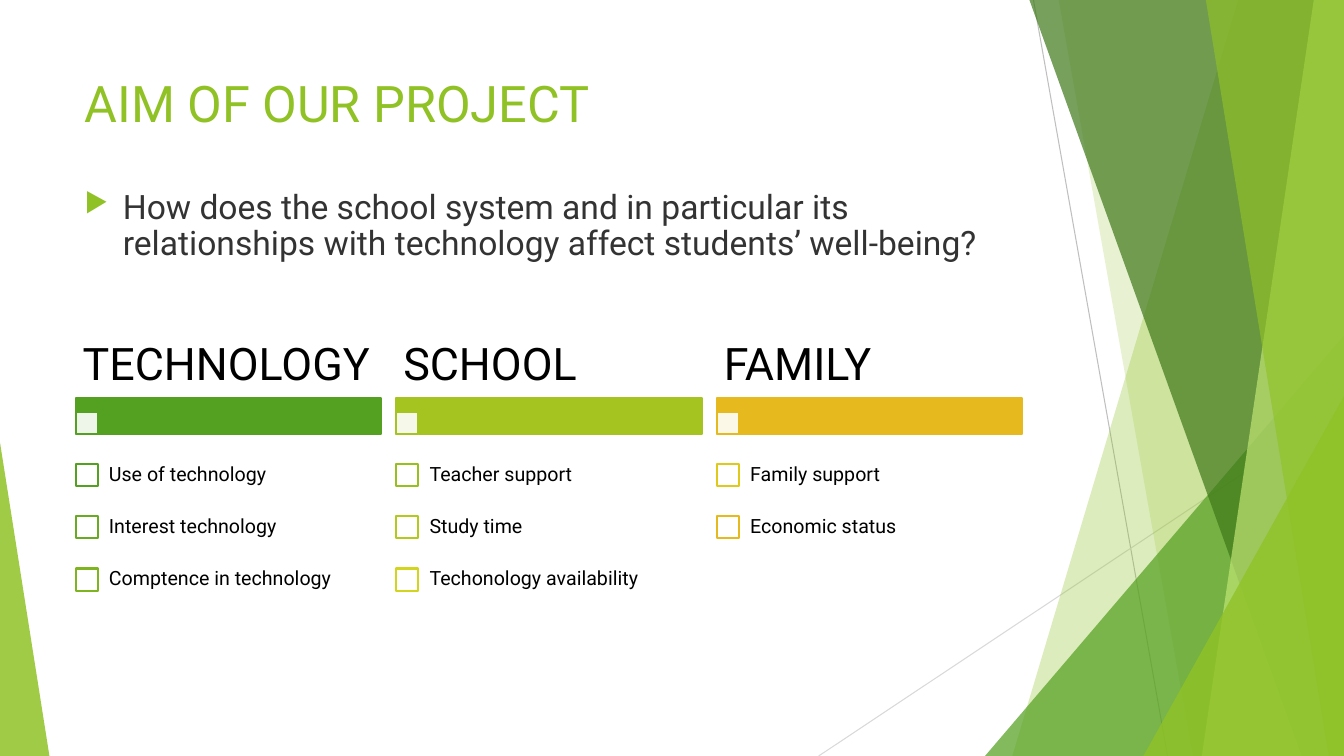
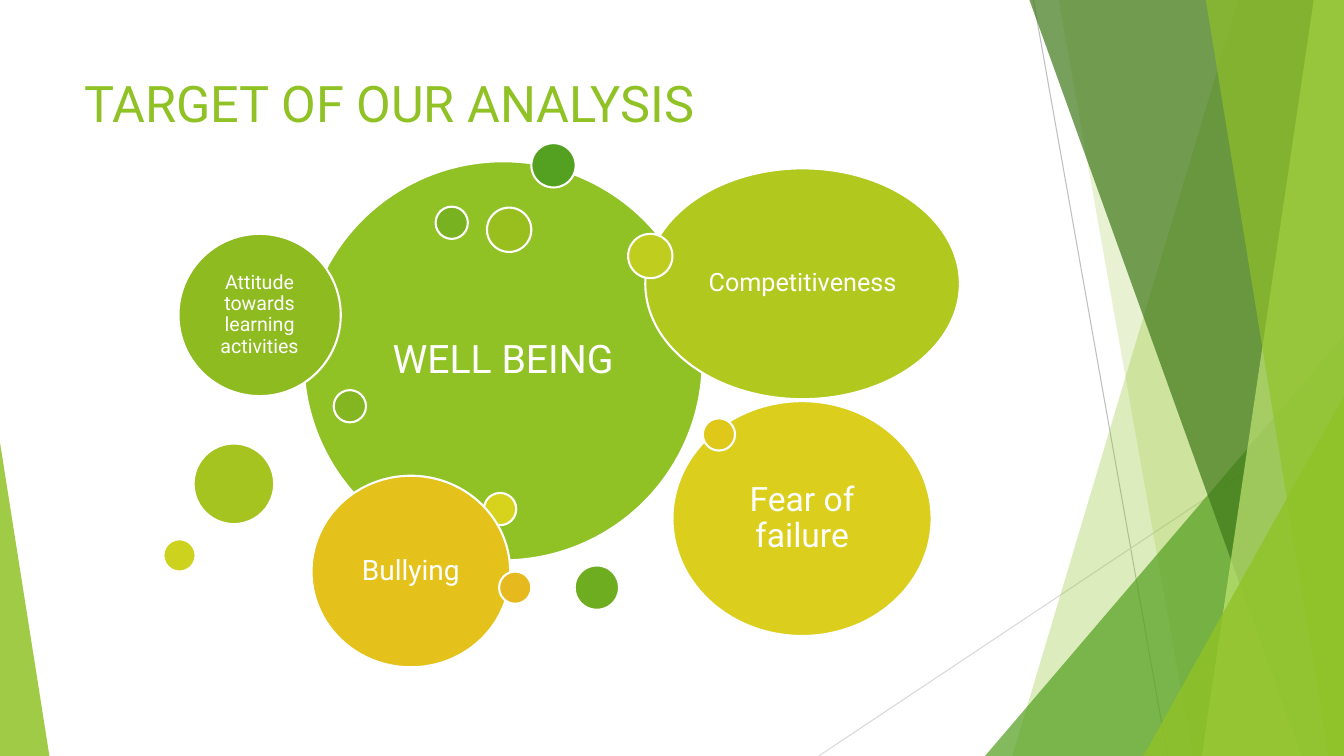
from dataclasses import dataclass
from lxml.etree import SubElement
from pptx import Presentation
from pptx.dml.color import RGBColor
from pptx.enum.shapes import MSO_CONNECTOR, MSO_SHAPE
from pptx.enum.text import MSO_ANCHOR, PP_ALIGN
from pptx.oxml.ns import qn
from pptx.util import Inches, Pt


@dataclass(frozen=True)
class Theme:
    font: str = "Roboto"
    # colours
    lime: str = "90C226"
    green: str = "54A021"
    forest: str = "3F7819"
    pale: str = "C0E474"
    moss: str = "A5C41F"
    gold: str = "E6B91E"
    white: str = "FFFFFF"
    black: str = "000000"
    ink: str = "333333"
    # type sizes and line widths
    title: int = 36
    head: int = 32
    body: int = 24
    item: int = 14
    edge: float = 1.5
    hair: float = 0.75


T = Theme()
WIDE, HIGH = 13.33, 7.5


# --- Basic parts ---
def apply(thing, values):
    for key, value in values.items():
        setattr(thing, key, value)


def rgb(code):
    return RGBColor.from_string(code)


def paint(shape, fill, line=None, alpha=100):
    shape.shadow.inherit = False
    shape.fill.solid()
    shape.fill.fore_color.rgb = rgb(fill)
    if alpha < 100:
        tone = shape.element.spPr.find(qn("a:solidFill"))[0]
        SubElement(tone, qn("a:alpha"), val=str(alpha * 1000))
    if line:
        shape.line.color.rgb = rgb(line)
        shape.line.width = Pt(T.edge)
    else:
        shape.line.fill.background()
    return shape


def block(slide, kind, box, fill, line=None, alpha=100):
    shape = slide.shapes.add_shape(kind, *map(Inches, box))
    return paint(shape, fill, line, alpha)


def write(shape, text, size, tone, pad=(0.1, 0.05), anchor=MSO_ANCHOR.MIDDLE,
          align=PP_ALIGN.LEFT, space=0.9):
    frame = shape.text_frame
    side, top = map(Inches, pad)
    apply(frame, dict(word_wrap=True, vertical_anchor=anchor,
                      margin_left=side, margin_right=side,
                      margin_top=top, margin_bottom=top))
    para = frame.paragraphs[0]
    apply(para, dict(text=text, alignment=align, line_spacing=space))
    apply(para.runs[0].font, dict(name=T.font, size=Pt(size)))
    para.runs[0].font.color.rgb = rgb(tone)
    return para


def label(slide, box, *text, **style):
    return write(slide.shapes.add_textbox(*map(Inches, box)), *text, **style)


# --- Shared backdrop and title ---
RAYS = [((10.25, 0), (11.58, HIGH), "BFBFBF"),
        ((WIDE, 4.03), (8.12, HIGH), "D9D9D9")]

# Bands run from a top x to a foot x and fill out to the right edge;
# wedges are right triangles given by box and apex side.
SHARDS = [("band", (12.28, 10.04), T.lime, 30),
          ("band", (10.5, 11.83), T.lime, 20),
          ("wedge", (9.77, 3.33, 3.56, 4.17, 1), T.green, 72),
          ("band", (10.21, 12.91), T.forest, 70),
          ("band", (13.03, 11.92), T.pale, 70),
          ("band", (11.96, 13.18), T.lime, 65),
          ("wedge", (11.34, 3.93, 1.99, 3.57, 1), T.lime, 80),
          ("wedge", (0, 4.39, 0.49, 3.11, 0), T.lime, 85)]


def ray(slide, start, end, tone):
    line = slide.shapes.add_connector(
        MSO_CONNECTOR.STRAIGHT, *map(Inches, start + end))
    line.line.color.rgb = rgb(tone)
    line.line.width = Pt(T.hair)
    SubElement(line.element.spPr, qn("a:effectLst"))


def band(slide, ends, tone, alpha):
    top, foot = map(Inches, ends)
    right, base = Inches(WIDE), Inches(HIGH)
    path = slide.shapes.build_freeform(top, 0)
    path.add_line_segments([(right, 0), (right, base), (foot, base)])
    paint(path.convert_to_shape(), tone, alpha=alpha)


def wedge(slide, place, tone, alpha):
    *box, apex = place
    shape = block(slide, MSO_SHAPE.ISOSCELES_TRIANGLE, box, tone, alpha=alpha)
    shape.adjustments[0] = apex


def begin(deck, title):
    slide = deck.slides.add_slide(deck.slide_layouts[6])
    for item in RAYS:
        ray(slide, *item)
    for kind, place, tone, alpha in SHARDS:
        draw = band if kind == "band" else wedge
        draw(slide, place, tone, alpha)
    label(slide, (0.74, 0.67, 9.4, 1.44), title, T.title, T.lime,
          anchor=MSO_ANCHOR.TOP, space=1.0)
    return slide


# --- Aim slide ---
GROUPS = [("TECHNOLOGY", T.green, [("Use of technology", T.green),
                                   ("Interest technology", "68AA21"),
                                   ("Comptence in technology", "7EB420")]),
          ("SCHOOL", T.moss, [("Teacher support", "97BF1F"),
                              ("Study time", "B3C91E"),
                              ("Techonology availability", "D2D41D")]),
          ("FAMILY", T.gold, [("Family support", "DFCA1C"),
                              ("Economic status", T.gold)])]


def query(slide, box, text):
    para = label(slide, box, text, T.body, T.ink, anchor=MSO_ANCHOR.TOP)
    props = para._p.get_or_add_pPr()
    dent = Inches(0.38)
    props.set("marL", str(dent))
    props.set("indent", str(-dent))
    tint = SubElement(props, qn("a:buClr"))
    SubElement(tint, qn("a:srgbClr"), val=T.lime)
    SubElement(props, qn("a:buSzPct"), val="80000")
    SubElement(props, qn("a:buChar"), char="▶")


def column(slide, box, head, tone, items):
    left, top, wide = box
    tall, bar, row, tick = 0.64, 0.36, 0.52, 0.22
    # heading and bar
    rect = MSO_SHAPE.RECTANGLE
    block(slide, rect, (left, top + tall, wide, bar), tone, tone)
    block(slide, rect, (left, top + tall + bar - tick, tick, tick),
          T.white, tone, 90)
    label(slide, (left, top, wide, tall), head, T.head, T.black,
          pad=(0.07, 0.04))
    # check list
    for num, (text, edge) in enumerate(items):
        y = top + 1.14 + num * row
        block(slide, rect, (left, y + (row - tick) / 2, tick, tick),
              T.white, edge)
        label(slide, (left + tick, y, wide - tick, row), text, T.item,
              T.black, pad=(0.11, 0.11))


def aim(deck):
    slide = begin(deck, "AIM OF OUR PROJECT")
    query(slide, (0.74, 1.84, 9.4, 0.96),
          "How does the school system and in particular its relationships "
          "with technology affect students’ well-being?")
    for num, group in enumerate(GROUPS):
        column(slide, (0.75 + num * 3.18, 3.31, 3.03), *group)


# --- Target slide ---
# Places are relative to the cluster's corner: x, y, width, height.
SMALL, MID = (0.32, 0.32), (0.44, 0.44)
BUBBLES = [((1.39, 0.18, 3.96, 3.96), T.lime, "WELL BEING", 28, 0.12),
           ((3.65, 0, *MID), T.green),
           ((2.61, 3.85, *SMALL), "5CA421"),
           ((5.61, 1.79, *SMALL), "65A921"),
           ((4.08, 4.19, *MID), "6FAD20"),
           ((2.7, 0.63, *SMALL), "79B220"),
           ((1.69, 2.45, *SMALL), "83B620"),
           ((0.15, 0.9, 1.61, 1.61), "8EBB1F",
            "Attitude towards learning activities", 14, 0.06),
           ((3.21, 0.64, *MID), "99BF1F"),
           ((0.3, 2.98, 0.8, 0.8), T.moss),
           ((4.78, 0.25, 3.12, 2.29), "B1C81E", "Competitiveness", 18, 0.07),
           ((4.61, 0.9, *MID), "BECD1E"),
           ((0, 3.93, *SMALL), "CCD21D"),
           ((3.18, 3.47, *SMALL), "D7D31D"),
           ((5.05, 2.56, 2.57, 2.33), "DBCE1C", "Fear of failure", 24, 0.1),
           ((5.35, 2.73, *SMALL), "E0C81B"),
           ((1.47, 3.3, 1.97, 1.9), "E4C21B", "Bullying", 20, 0.08),
           ((3.33, 4.25, *SMALL), T.gold)]


def bubble(slide, box, tone, text=None, size=None, pad=0):
    shape = block(slide, MSO_SHAPE.OVAL, box, tone, T.white)
    if text:
        write(shape, text, size, T.white, pad=(pad, pad),
              align=PP_ALIGN.CENTER)


def cluster(slide, left, top):
    for (x, y, wide, tall), *look in BUBBLES:
        bubble(slide, (left + x, top + y, wide, tall), *look)


def target(deck):
    slide = begin(deck, "TARGET OF OUR ANALYSIS")
    cluster(slide, 1.62, 1.42)


def main():
    deck = Presentation()
    apply(deck, dict(slide_width=Inches(WIDE), slide_height=Inches(HIGH)))
    aim(deck)
    target(deck)
    deck.save("out.pptx")


if __name__ == "__main__":
    main()
